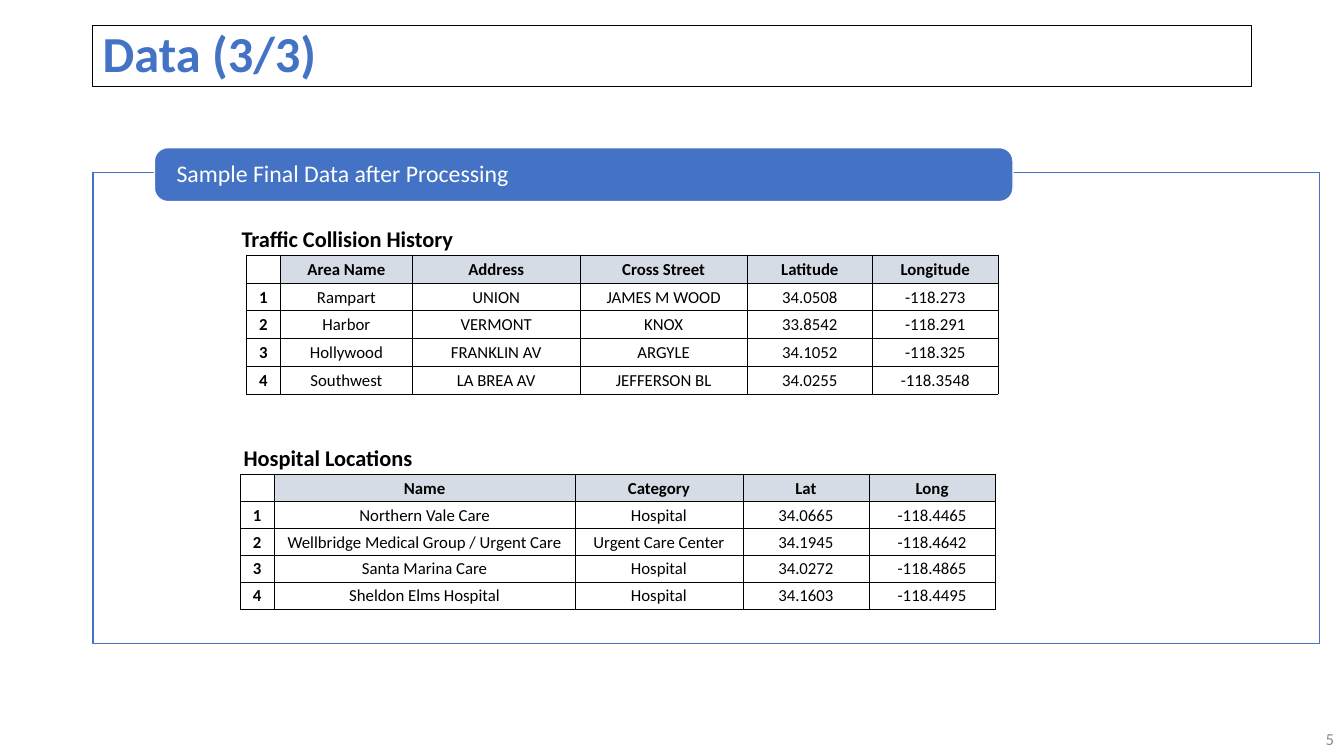
import dataclasses

import lxml.etree
import pptx
import pptx.dml.color
import pptx.enum.shapes
import pptx.enum.text
import pptx.oxml
import pptx.oxml.ns
import pptx.util

Cm = pptx.util.Cm
Pt = pptx.util.Pt
Align = pptx.enum.text.PP_ALIGN
Anchor = pptx.enum.text.MSO_ANCHOR
Kind = pptx.enum.shapes.MSO_SHAPE
qn = pptx.oxml.ns.qn

COLORS = {
    "blue": "4472C4",
    "white": "FFFFFF",
    "black": "000000",
    "head": "D6DCE5",
    "grey": "8C8C8C",
}
FONT = "Calibri"


@dataclasses.dataclass
class Box:
    left: float
    top: float
    width: float
    height: float

    def place(self) -> tuple:
        return Cm(self.left), Cm(self.top), Cm(self.width), Cm(self.height)


@dataclasses.dataclass
class Sample:
    title: str
    label: Box
    left: float
    top: float
    widths: list[float]
    height: float
    rows: list[list[str]]


def color(name: str) -> pptx.dml.color.RGBColor:
    return pptx.dml.color.RGBColor.from_string(COLORS[name])


def write(frame, text: str, *, size: float, tint: str = "black", bold: bool = False,
          align=Align.LEFT, space: float = 1.0) -> None:
    para = frame.paragraphs[0]
    para.alignment = align
    para.line_spacing = space
    run = para.add_run()
    run.text = text
    run.font.name = FONT
    run.font.size = Pt(size)
    run.font.bold = bold
    run.font.color.rgb = color(tint)


def panel(slide, kind, box: Box, fill: str | None, line: str, weight: float):
    shape = slide.shapes.add_shape(kind, *box.place())
    shape.shadow.inherit = False
    if fill:
        shape.fill.solid()
        shape.fill.fore_color.rgb = color(fill)
    else:
        shape.fill.background()
    shape.line.color.rgb = color(line)
    shape.line.width = Pt(weight)
    shape.text_frame.word_wrap = True
    shape.text_frame.vertical_anchor = Anchor.MIDDLE
    return shape


def label(slide, box: Box, text: str, anchor=Anchor.TOP, **style) -> None:
    frame = slide.shapes.add_textbox(*box.place()).text_frame
    frame.word_wrap = True
    frame.vertical_anchor = anchor
    write(frame, text, **style)


def border(cell) -> None:
    props = cell._tc.get_or_add_tcPr()
    for side in ("a:lnL", "a:lnR", "a:lnT", "a:lnB"):
        line = lxml.etree.SubElement(props, qn(side), w=str(Pt(0.5)))
        fill = lxml.etree.SubElement(line, qn("a:solidFill"))
        lxml.etree.SubElement(fill, qn("a:srgbClr"), val=COLORS["black"])


def table(slide, data: Sample) -> None:
    count = len(data.rows)
    box = Box(data.left, data.top, sum(data.widths), data.height * count)
    grid = slide.shapes.add_table(count, len(data.widths), *box.place()).table
    grid.first_row = False
    grid.horz_banding = False
    for col, width in zip(grid.columns, data.widths):
        col.width = Cm(width)
    for r, row in enumerate(data.rows):
        grid.rows[r].height = Cm(data.height)
        for c, text in enumerate(row):
            cell = grid.cell(r, c)
            cell.margin_left = cell.margin_right = cell.margin_top = Cm(0.03)
            cell.margin_bottom = 0
            cell.vertical_anchor = Anchor.MIDDLE
            border(cell)
            if r == 0 and c > 0:
                cell.fill.solid()
                cell.fill.fore_color.rgb = color("head")
            else:
                cell.fill.background()
            if text:
                write(cell.text_frame, text, size=12, bold=r == 0 or c == 0,
                      align=Align.CENTER)
            else:
                cell.text_frame.paragraphs[0].font.size = Pt(12)
    label(slide, data.label, data.title, size=16, bold=True)


SAMPLES = [
    Sample("Traffic Collision History", Box(5.84, 5.54, 9.86, 0.94), 6.21, 6.43,
           [0.86, 3.32, 4.23, 4.21, 3.16, 3.16], 0.7, [
               ["", "Area Name", "Address", "Cross Street", "Latitude", "Longitude"],
               ["1", "Rampart", "UNION", "JAMES M WOOD", "34.0508", "-118.273"],
               ["2", "Harbor", "VERMONT", "KNOX", "33.8542", "-118.291"],
               ["3", "Hollywood", "FRANKLIN AV", "ARGYLE", "34.1052", "-118.325"],
               ["4", "Southwest", "LA BREA AV", "JEFFERSON BL", "34.0255", "-118.3548"],
           ]),
    Sample("Hospital Locations", Box(5.89, 11.07, 9.93, 0.94), 6.05, 11.95,
           [0.86, 7.58, 4.23, 3.18, 3.18], 0.68, [
               ["", "Name", "Category", "Lat", "Long"],
               ["1", "Northern Vale Care", "Hospital", "34.0665", "-118.4465"],
               ["2", "Wellbridge Medical Group / Urgent Care", "Urgent Care Center",
                "34.1945", "-118.4642"],
               ["3", "Santa Marina Care", "Hospital", "34.0272", "-118.4865"],
               ["4", "Sheldon Elms Hospital", "Hospital", "34.1603", "-118.4495"],
           ]),
]


def main() -> None:
    deck = pptx.Presentation()
    deck.slide_width = Cm(33.87)
    deck.slide_height = Cm(19.05)
    slide = deck.slides.add_slide(deck.slide_layouts[6])

    frame = panel(slide, Kind.RECTANGLE, Box(2.34, 4.35, 30.91, 11.86), "white", "blue", 1)
    paint = frame.fill._xPr.find(qn("a:solidFill"))[0]
    lxml.etree.SubElement(paint, qn("a:alpha"), val="90000")

    banner = panel(slide, Kind.ROUNDED_RECTANGLE, Box(3.89, 3.72, 21.64, 1.36),
                   "blue", "white", 1)
    banner.adjustments[0] = 0.25
    text = banner.text_frame
    text.margin_left = text.margin_right = Cm(0.46)
    text.margin_top = text.margin_bottom = Cm(0.08)
    write(text, "Sample Final Data after Processing", size=17, tint="white", space=0.9)

    for data in SAMPLES:
        table(slide, data)

    label(slide, Box(26.25, 18.1, 7.62, 1.02), "5", Anchor.MIDDLE,
          size=12, tint="grey", align=Align.RIGHT)
    title = panel(slide, Kind.RECTANGLE, Box(2.34, 0.65, 29.21, 1.53), None, "black", 0.75)
    write(title.text_frame, "Data (3/3)", size=36, tint="blue", bold=True, space=0.9)

    deck.save("out.pptx")


main()
